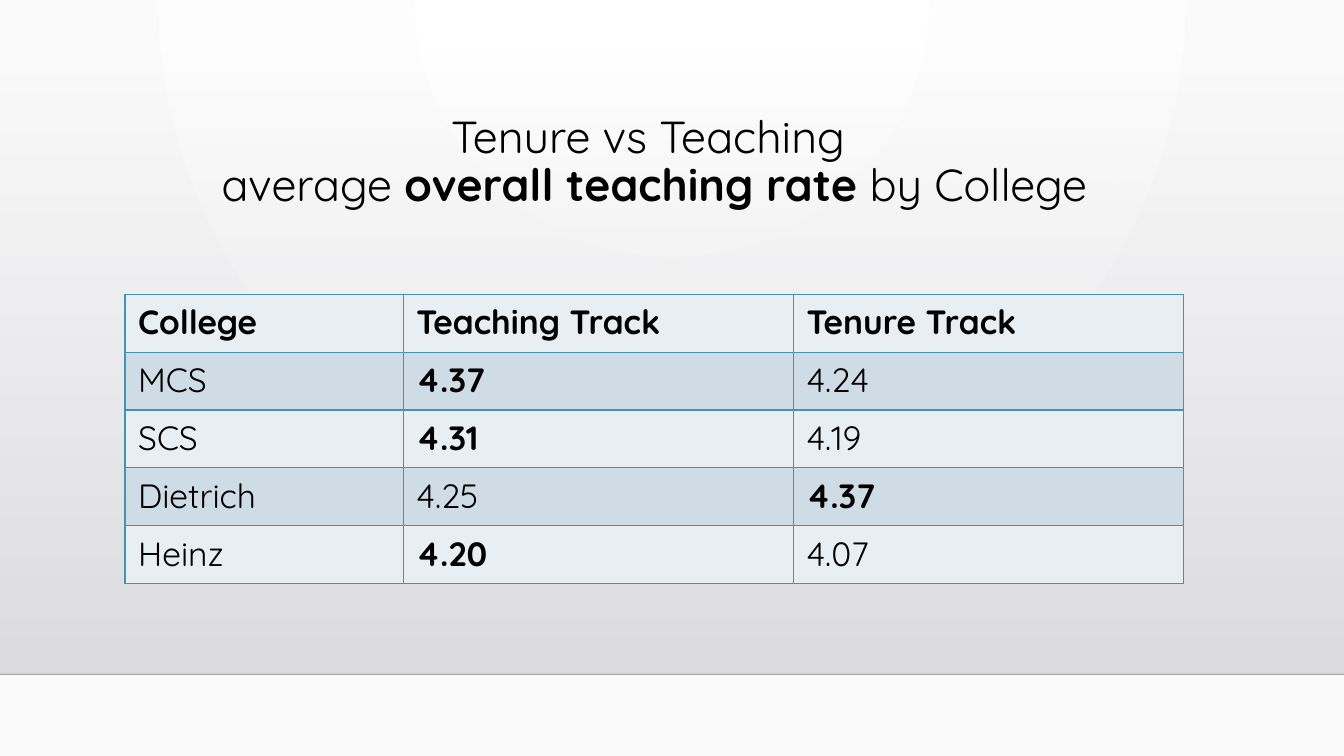
import pptx
import pptx.dml.color
import pptx.enum.shapes
import pptx.enum.text
import pptx.oxml.ns
import pptx.util
from dataclasses import dataclass
from lxml import etree

Inches = pptx.util.Inches
Pt = pptx.util.Pt
qn = pptx.oxml.ns.qn


@dataclass(frozen=True)
class Theme:
    """Colours, type sizes and font of the slide."""
    font: str = "Quicksand"
    title: int = 32
    body: int = 24
    ink: str = "000000"
    back: tuple = ("FFFFFF", "FAFAFA")
    band: tuple = ("DCDCE0", "DEDEE2")
    rows: tuple = ("E9EEF3", "CFDCE5")
    rule: str = "4294B6"
    edge: str = "000001"


THEME = Theme()

TITLE = [[("Tenure vs Teaching ", False)],
         [("average ", False), ("overall teaching rate", True), (" by College", False)]]

RATES = [("College", "Teaching Track", "Tenure Track"),
         ("MCS", "4.37", "4.24"),
         ("SCS", "4.31", "4.19"),
         ("Dietrich", "4.25", "4.37"),
         ("Heinz", "4.20", "4.07")]


def rgb(code):
    """Turn a hex code into a colour."""
    return pptx.dml.color.RGBColor.from_string(code)


def fade(node, share):
    """Set the opacity of the first colour under a node, in percent."""
    tint = next(node.iter(qn("a:srgbClr")))
    etree.SubElement(tint, qn("a:alpha"), val=str(share * 1000))


def blend(fill, tints):
    """Give a fill a two-stop gradient that runs from top to bottom."""
    fill.gradient()
    fill.gradient_angle = 270
    for stop, tint in zip(fill.gradient_stops, tints):
        stop.color.rgb = rgb(tint)


def style(font, size, bold=None):
    """Set face, size, colour and weight of a font."""
    font.name = THEME.font
    font.size = Pt(size)
    font.color.rgb = rgb(THEME.ink)
    font.bold = bold


def draw_back(slide):
    """Fill the background with rings around the top centre."""
    blend(slide.background.fill, THEME.back)
    grad = next(slide.element.iter(qn("a:gradFill")))
    grad.remove(grad.find(qn("a:lin")))
    ring = etree.SubElement(grad, qn("a:path"), path="circle")
    etree.SubElement(ring, qn("a:fillToRect"), l="43000", t="0", r="43000", b="100000")


def draw_band(slide, left, top, width, height):
    """Draw the fading band and the thin line along its foot."""
    band = slide.shapes.add_shape(pptx.enum.shapes.MSO_SHAPE.RECTANGLE,
                                  left, top, width, height)
    band.shadow.inherit = False
    band.line.fill.background()
    blend(band.fill, THEME.band)
    fade(next(band.element.iter(qn("a:gradFill"))), 0)
    foot = top + height
    edge = slide.shapes.add_connector(pptx.enum.shapes.MSO_CONNECTOR.STRAIGHT,
                                      left, foot, left + width, foot)
    edge.line.width = Pt(1)
    edge.line.color.rgb = rgb(THEME.edge)
    fade(edge.element.spPr, 20)
    etree.SubElement(edge.element.spPr, qn("a:effectLst"))


def draw_title(slide, left, top, width, height):
    """Place the two-line title in its placeholder."""
    title = slide.shapes.title
    title.left, title.top, title.width, title.height = left, top, width, height
    frame = title.text_frame
    frame.word_wrap = True
    frame.auto_size = pptx.enum.text.MSO_AUTO_SIZE.NONE
    frame.vertical_anchor = pptx.enum.text.MSO_ANCHOR.MIDDLE
    para = frame.paragraphs[0]
    para.alignment = pptx.enum.text.PP_ALIGN.CENTER
    para.line_spacing = 0.9
    for row, line in enumerate(TITLE):
        if row:
            para.add_line_break()
        for text, bold in line:
            run = para.add_run()
            run.text = text
            style(run.font, THEME.title, bold)


def rule_cell(cell):
    """Draw a thin line on each side of a cell."""
    props = cell._tc.get_or_add_tcPr()
    for side in ("lnL", "lnR", "lnT", "lnB"):
        line = etree.SubElement(props, qn("a:" + side), w=str(Pt(1)))
        fill = etree.SubElement(line, qn("a:solidFill"))
        etree.SubElement(fill, qn("a:srgbClr"), val=THEME.rule)


def draw_table(slide, left, top, width, height):
    """Build the table of rates, with the header and each row's best rate bold."""
    table = slide.shapes.add_table(len(RATES), 3, left, top, width, height).table
    table.horz_banding = False
    table.first_row = False
    first = Inches(2.76)
    rest = (width - first) // 2
    for column, size in zip(table.columns, (first, rest, rest)):
        column.width = size
    for r, row in enumerate(RATES):
        table.rows[r].height = height // len(RATES)
        best = max(row[1:])
        for c, text in enumerate(row):
            cell = table.cell(r, c)
            cell.margin_left = cell.margin_right = Inches(0.13)
            cell.margin_top = cell.margin_bottom = Inches(0.07)
            rule_cell(cell)
            cell.fill.solid()
            cell.fill.fore_color.rgb = rgb(THEME.rows[r % 2])
            cell.text = text
            bold = r == 0 or (c > 0 and text == best)
            style(cell.text_frame.paragraphs[0].font, THEME.body, bold)


def main():
    """Build and save the slide."""
    deck = pptx.Presentation()
    deck.slide_width = Inches(13.33)
    deck.slide_height = Inches(7.5)
    slide = deck.slides.add_slide(deck.slide_layouts.get_by_name("Title Only"))
    left, width = Inches(1.24), Inches(10.5)
    draw_back(slide)
    draw_band(slide, 0, Inches(0.51), deck.slide_width, Inches(6.18))
    tree = slide.shapes.title.element.getparent()
    tree.append(slide.shapes.title.element)
    draw_title(slide, left, Inches(1.04), width, Inches(1.15))
    draw_table(slide, left, Inches(2.92), width, Inches(2.87))
    deck.save("out.pptx")


if __name__ == "__main__":
    main()
